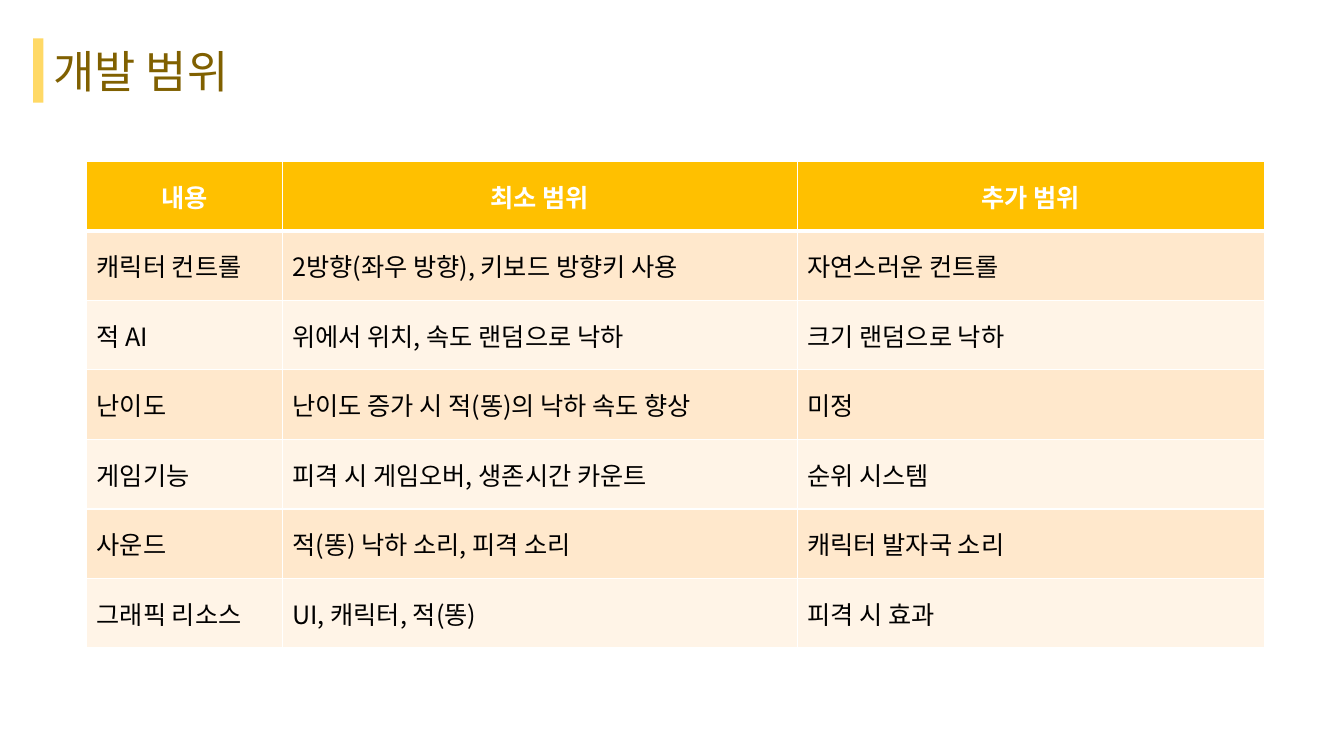
import pptx
import pptx.dml.color
import pptx.enum.shapes
import pptx.enum.text
import pptx.oxml.ns
import pptx.util
import lxml.etree

Inches = pptx.util.Inches
FONT = "Noto Sans CJK KR"
COLORS = {
    "accent": "FFD966", "title": "806000", "header": "FFC000",
    "band_dark": "FFE8CC", "band_light": "FFF4E7",
    "white": "FFFFFF", "text": "000000",
}
COLUMN_WIDTHS = [1.94, 5.11, 4.63]
ROW_HEIGHT = 0.69
SCOPE = [
    ["내용", "최소 범위", "추가 범위"],
    ["캐릭터 컨트롤", "2방향(좌우 방향), 키보드 방향키 사용", "자연스러운 컨트롤"],
    ["적 AI", "위에서 위치, 속도 랜덤으로 낙하", "크기 랜덤으로 낙하"],
    ["난이도", "난이도 증가 시 적(똥)의 낙하 속도 향상", "미정"],
    ["게임기능", "피격 시 게임오버, 생존시간 카운트", "순위 시스템"],
    ["사운드", "적(똥) 낙하 소리, 피격 소리", "캐릭터 발자국 소리"],
    ["그래픽 리소스", "UI, 캐릭터, 적(똥)", "피격 시 효과"],
]


def rgb(color):
    return pptx.dml.color.RGBColor.from_string(COLORS[color])


def make_line(tag, color, points):
    """Build a solid line element for a text outline or a cell border."""
    line = lxml.etree.Element(pptx.oxml.ns.qn(tag), w=str(pptx.util.Pt(points)))
    fill = lxml.etree.SubElement(line, pptx.oxml.ns.qn("a:solidFill"))
    lxml.etree.SubElement(fill, pptx.oxml.ns.qn("a:srgbClr"), val=COLORS[color])
    return line


class ScopeSlide:
    def __init__(self, deck):
        self.slide = deck.slides.add_slide(deck.slide_layouts[5])

    def add_text(self, paragraph, text, size, color, bold=False):
        run = paragraph.add_run()
        run.text = text
        run.font.size = pptx.util.Pt(size)
        run.font.bold = bold
        run.font.color.rgb = rgb(color)
        run.font.name = FONT
        properties = run._r.get_or_add_rPr()
        lxml.etree.SubElement(properties, pptx.oxml.ns.qn("a:ea"), typeface=FONT)
        return properties

    def title(self, text, left, top, width, height):
        heading = self.slide.shapes.title
        heading.left, heading.top = Inches(left), Inches(top)
        heading.width, heading.height = Inches(width), Inches(height)
        frame = heading.text_frame
        frame.word_wrap = False
        frame.auto_size = pptx.enum.text.MSO_AUTO_SIZE.NONE
        frame.vertical_anchor = pptx.enum.text.MSO_ANCHOR.MIDDLE
        paragraph = frame.paragraphs[0]
        paragraph.alignment = pptx.enum.text.PP_ALIGN.LEFT
        properties = self.add_text(paragraph, text, 32, "title")
        properties.insert(0, make_line("a:ln", "title", 0.75))

    def bar(self, color, left, top, width, height):
        accent = self.slide.shapes.add_shape(
            pptx.enum.shapes.MSO_SHAPE.RECTANGLE,
            Inches(left), Inches(top), Inches(width), Inches(height))
        accent.shadow.inherit = False
        accent.fill.solid()
        accent.fill.fore_color.rgb = rgb(color)
        accent.line.fill.background()

    def cell(self, cell, text, fill, is_header, below_header):
        cell.fill.solid()
        cell.fill.fore_color.rgb = rgb(fill)
        cell.vertical_anchor = pptx.enum.text.MSO_ANCHOR.MIDDLE
        paragraph = cell.text_frame.paragraphs[0]
        if is_header:
            paragraph.alignment = pptx.enum.text.PP_ALIGN.CENTER
        self.add_text(paragraph, text, 18, "white" if is_header else "text", is_header)
        # Borders come before the fill in the cell properties
        borders = {"a:lnL": 1, "a:lnR": 1,
                   "a:lnT": 3 if below_header else 1,
                   "a:lnB": 3 if is_header else 1}
        properties = cell._tc.get_or_add_tcPr()
        for position, (tag, points) in enumerate(borders.items()):
            properties.insert(position, make_line(tag, "white", points))

    def table(self, rows, widths, row_height, left, top):
        grid = self.slide.shapes.add_table(
            len(rows), len(widths), Inches(left), Inches(top),
            Inches(sum(widths)), Inches(row_height * len(rows))).table
        for column, width in zip(grid.columns, widths):
            column.width = Inches(width)
        for index, texts in enumerate(rows):
            grid.rows[index].height = Inches(row_height)
            band = "band_dark" if index % 2 else "band_light"
            for column, text in enumerate(texts):
                self.cell(grid.cell(index, column), text,
                          band if index else "header", index == 0, index == 1)


def main():
    deck = pptx.Presentation()
    deck.slide_width, deck.slide_height = Inches(13.33), Inches(7.5)
    scope = ScopeSlide(deck)
    # Heading with its accent bar
    scope.bar("accent", 0.33, 0.38, 0.1, 0.64)
    scope.title("개발 범위", 0.43, 0.38, 2.15, 0.64)
    # Development scope
    scope.table(SCOPE, COLUMN_WIDTHS, ROW_HEIGHT, 0.86, 1.6)
    deck.save("out.pptx")


if __name__ == "__main__":
    main()
